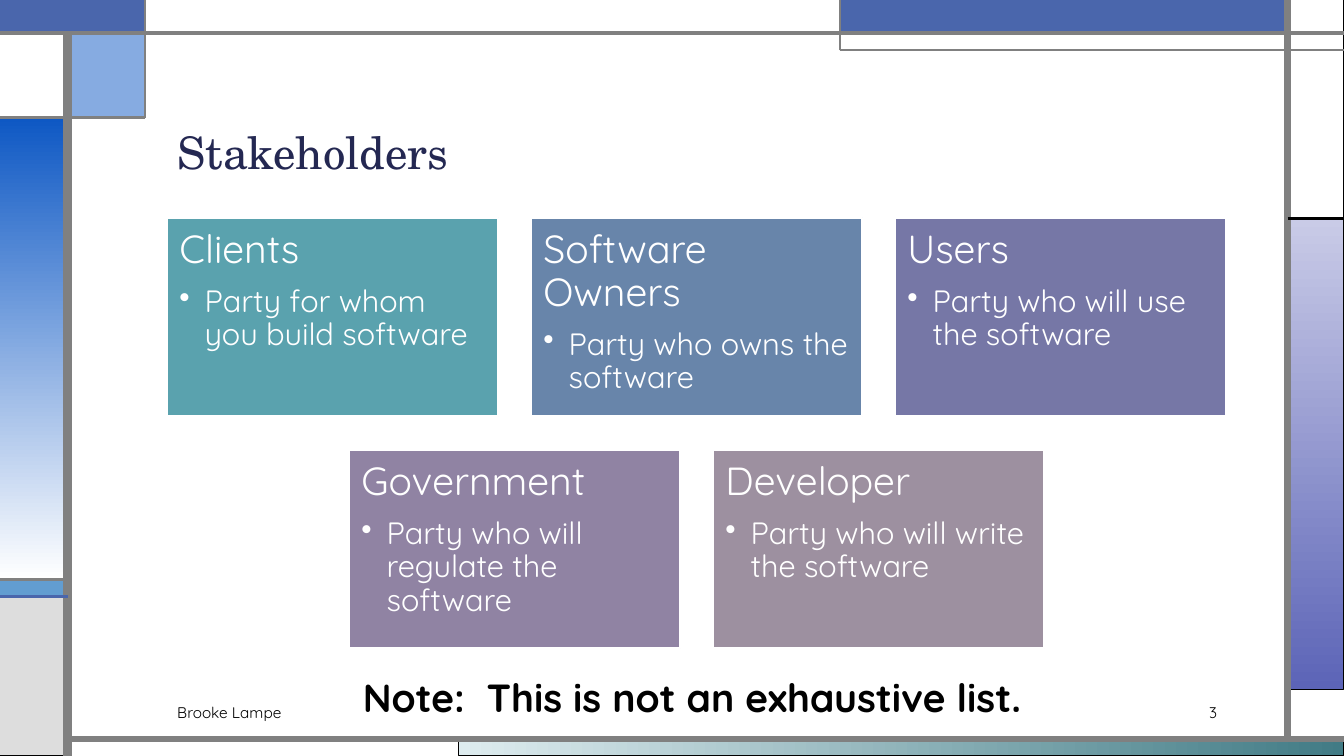
from lxml import etree
from pptx import Presentation
from pptx.dml.color import RGBColor
from pptx.enum.shapes import MSO_CONNECTOR, MSO_SHAPE
from pptx.enum.text import MSO_ANCHOR, MSO_AUTO_SIZE, PP_ALIGN
from pptx.oxml.ns import qn
from pptx.util import Inches, Pt

BODY_FONT, TITLE_FONT = "Quicksand", "TeX Gyre Schola"
COLORS = {
    "white": "FFFFFF", "black": "000000", "gray": "808080", "silver": "DDDDDD",
    "navy": "242852", "royal": "4A66AC", "azure": "297FD5", "sky": "629DD1",
    "blue": "0E58C4", "ice": "DEECEF", "pine": "417B85",
    "lavender": "C9CBE7", "indigo": "5C64B7",
    "teal": "5AA2AE", "steel": "6885AA", "violet": "7677A6",
    "purple": "9083A3", "mauve": "9D90A0",
}

# Frame grid
WIDTH, HEIGHT = 13.33, 7.5
LEFT_BAR, RIGHT_BAR = 0.67, 12.77
TOP_BAR, BOTTOM_BAR = 0.33, 7.33
TAB_X, TAB_Y = 1.44, 1.17
STEP_X, STEP_Y = 8.33, 0.5
PANEL_Y, STRIPE_TOP, STRIPE_BOTTOM = 2.17, 5.75, 5.92

# Stakeholder cards
CARD_W, CARD_H, CARD_GAP = 3.28, 1.97, 0.33
CARDS_TOP, CARDS_CENTER = 2.16, 6.91
STAKEHOLDERS = [
    [("Clients", "Party for whom you build software", "teal"),
     ("Software Owners", "Party who owns the software", "steel"),
     ("Users", "Party who will use the software", "violet")],
    [("Government", "Party who will regulate the software", "purple"),
     ("Developer", "Party who will write the software", "mauve")],
]


def rgb(name):
    return RGBColor.from_string(COLORS[name])


def style_font(paragraph, size, color, font=BODY_FONT, bold=False):
    for run in paragraph.runs:
        run.font.size = Pt(size)
        run.font.name = font
        run.font.bold = bold
        run.font.color.rgb = rgb(color)


def add_panel(slide, left, top, right, bottom, fill, line="black", weight=0.75):
    panel = slide.shapes.add_shape(
        MSO_SHAPE.RECTANGLE, Inches(left), Inches(top),
        Inches(right - left), Inches(bottom - top))
    panel.shadow.inherit = False
    panel.fill.solid()
    panel.fill.fore_color.rgb = rgb(fill)
    panel.line.color.rgb = rgb(line)
    panel.line.width = Pt(weight)
    return panel


def set_gradient(panel, start, end, angle):
    panel.fill.gradient()
    panel.fill.gradient_angle = angle
    for stop, color in zip(panel.fill.gradient_stops, (start, end)):
        stop.color.rgb = rgb(color)


def set_opacity(panel, percent):
    color = panel.fill._xPr.find(qn("a:solidFill")).find(qn("a:srgbClr"))
    etree.SubElement(color, qn("a:alpha"), val=str(percent * 1000))


def add_rule(slide, x1, y1, x2, y2, weight, color="gray"):
    rule = slide.shapes.add_connector(
        MSO_CONNECTOR.STRAIGHT, Inches(x1), Inches(y1), Inches(x2), Inches(y2))
    rule.line.color.rgb = rgb(color)
    rule.line.width = Pt(weight)
    etree.SubElement(rule._element.spPr, qn("a:effectLst"))


def add_label(slide, text, left, top, width, height, size,
              bold=False, align=PP_ALIGN.LEFT):
    frame = slide.shapes.add_textbox(
        Inches(left), Inches(top), Inches(width), Inches(height)).text_frame
    frame.word_wrap = True
    frame.vertical_anchor = MSO_ANCHOR.MIDDLE
    frame.text = text
    frame.paragraphs[0].alignment = align
    style_font(frame.paragraphs[0], size, "black", bold=bold)


def set_bullet(paragraph, indent):
    props = paragraph._p.get_or_add_pPr()
    props.set("marL", str(Inches(indent)))
    props.set("indent", str(Inches(-indent)))
    etree.SubElement(props, qn("a:buChar"), char="•")


def add_card(slide, left, top, heading, role, color):
    card = add_panel(slide, left, top, left + CARD_W, top + CARD_H,
                     color, "white", 1.5)
    frame = card.text_frame
    frame.word_wrap = True
    frame.vertical_anchor = MSO_ANCHOR.TOP
    frame.margin_left = frame.margin_right = Inches(0.12)
    frame.margin_top = frame.margin_bottom = Inches(0.12)
    frame.text = f"{heading}\n{role}"
    for paragraph, size, after in zip(frame.paragraphs, (28, 22), (10, 3)):
        paragraph.alignment = PP_ALIGN.LEFT
        paragraph.line_spacing = 0.9
        paragraph.space_after = Pt(after)
        style_font(paragraph, size, "white")
    set_bullet(frame.paragraphs[1], 0.25)


def add_frame(slide):
    # Bottom and right panels
    footer_band = add_panel(slide, 4.55, BOTTOM_BAR, WIDTH, HEIGHT, "ice")
    set_gradient(footer_band, "ice", "pine", 0)
    right_band = add_panel(slide, RIGHT_BAR, PANEL_Y, WIDTH, 6.84, "lavender")
    set_gradient(right_band, "lavender", "indigo", 270)
    add_panel(slide, RIGHT_BAR, 0, WIDTH, PANEL_Y, "white")

    # Left panels
    add_panel(slide, 0, STRIPE_TOP, LEFT_BAR, STRIPE_BOTTOM, "sky")
    add_panel(slide, 0, STRIPE_BOTTOM, LEFT_BAR, HEIGHT, "silver")
    corner_tab = add_panel(slide, LEFT_BAR, TOP_BAR, TAB_X, TAB_Y, "blue")
    set_opacity(corner_tab, 50)
    left_band = add_panel(slide, 0, TAB_Y, LEFT_BAR, STRIPE_TOP, "blue")
    set_gradient(left_band, "blue", "white", 270)
    add_panel(slide, 0, TOP_BAR, LEFT_BAR, TAB_Y, "white")

    # Top panels
    add_panel(slide, STEP_X, 0, RIGHT_BAR, TOP_BAR, "royal", "azure")
    add_panel(slide, 0, 0, TAB_X, TOP_BAR, "royal", "royal", 1.5)
    add_panel(slide, TAB_X, 0, STEP_X, TOP_BAR, "white", "gray")

    # Rules between the panels
    add_rule(slide, LEFT_BAR, HEIGHT, LEFT_BAR, TOP_BAR, 6)
    add_rule(slide, LEFT_BAR, BOTTOM_BAR, WIDTH, BOTTOM_BAR, 4.5)
    add_rule(slide, RIGHT_BAR, BOTTOM_BAR, RIGHT_BAR, 0, 4.5)
    add_rule(slide, 0, TOP_BAR, WIDTH, TOP_BAR, 3)
    add_rule(slide, WIDTH, STEP_Y, STEP_X, STEP_Y, 1.5)
    add_rule(slide, STEP_X, STEP_Y, STEP_X, 0, 1.5)
    add_rule(slide, RIGHT_BAR, PANEL_Y, WIDTH, PANEL_Y, 2.25, "black")
    add_rule(slide, TAB_X, 0, TAB_X, TAB_Y, 1.5)
    add_rule(slide, TAB_X, TAB_Y, 0, TAB_Y, 2.25)
    add_rule(slide, LEFT_BAR, STRIPE_TOP, 0, STRIPE_TOP, 2.25)
    add_rule(slide, LEFT_BAR, STRIPE_BOTTOM, 0, STRIPE_BOTTOM, 2.25, "royal")


def set_title(slide, text):
    title = slide.shapes.title
    title.left, title.top = Inches(1.66), Inches(0.58)
    title.width, title.height = Inches(10.5), Inches(1.25)
    frame = title.text_frame
    frame.text = text
    frame.auto_size = MSO_AUTO_SIZE.NONE
    frame.vertical_anchor = MSO_ANCHOR.BOTTOM
    heading = frame.paragraphs[0]
    heading.alignment = PP_ALIGN.LEFT
    heading.line_spacing = 0.9
    style_font(heading, 32, "navy", TITLE_FONT)


def add_stakeholders(slide):
    for row, cards in enumerate(STAKEHOLDERS):
        row_width = len(cards) * (CARD_W + CARD_GAP) - CARD_GAP
        row_left = CARDS_CENTER - row_width / 2
        top = CARDS_TOP + row * (CARD_H + CARD_GAP)
        for column, card in enumerate(cards):
            add_card(slide, row_left + column * (CARD_W + CARD_GAP), top, *card)


def main():
    deck = Presentation()
    deck.slide_width, deck.slide_height = Inches(WIDTH), Inches(HEIGHT)
    slide = deck.slides.add_slide(deck.slide_layouts[5])
    add_frame(slide)
    set_title(slide, "Stakeholders")
    add_stakeholders(slide)

    # Note and footer
    add_label(slide, "Note:  This is not an exhaustive list.",
              3.5, 6.63, 6.83, 0.57, 28, bold=True)
    add_label(slide, "Brooke Lampe", 1.66, 6.92, 7.5, 0.3, 11)
    add_label(slide, "3", 11.09, 6.92, 1.08, 0.3, 11, align=PP_ALIGN.RIGHT)
    deck.save("out.pptx")


if __name__ == "__main__":
    main()
